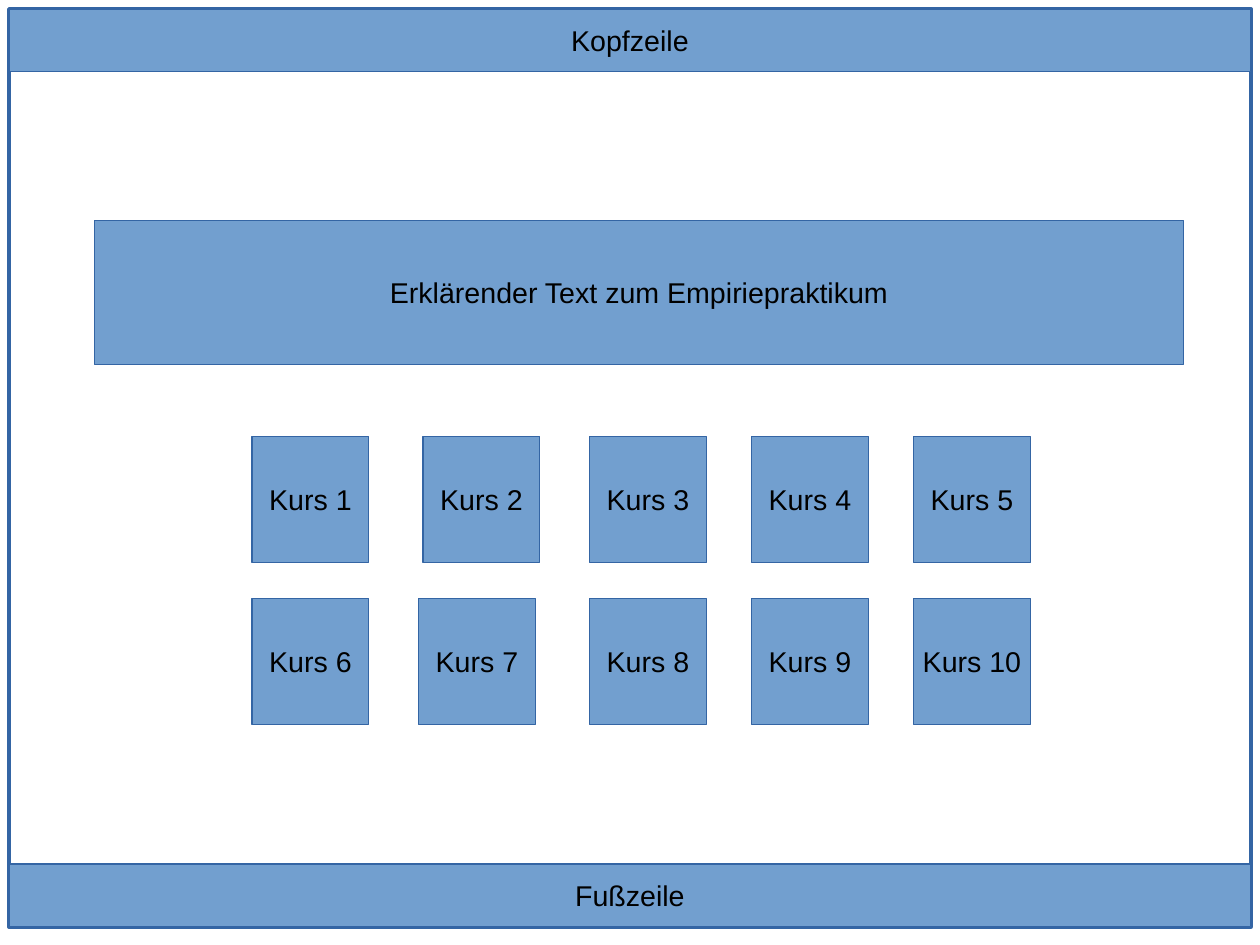
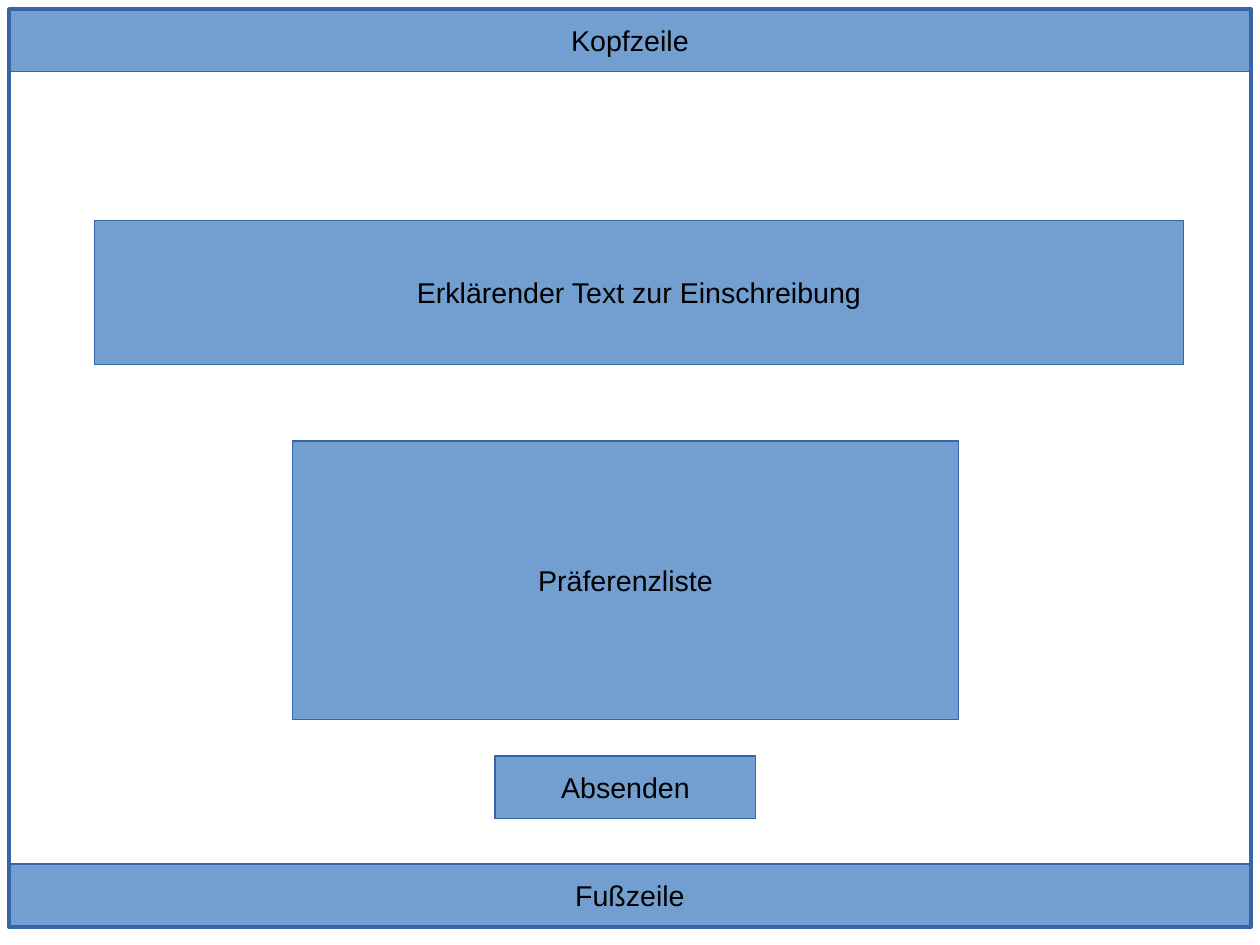
from pptx import Presentation
from pptx.dml.color import RGBColor
from pptx.enum.shapes import MSO_SHAPE as Shape
from pptx.enum.text import MSO_ANCHOR as Anchor, PP_ALIGN as Align
from pptx.util import Cm, Pt

# Content
HEADER, FOOTER = "Kopfzeile", "Fußzeile"
COURSE_INTRO = "Erklärender Text zum Empiriepraktikum"
ENROLMENT_INTRO = "Erklärender Text zur Einschreibung"
PREFERENCES, SUBMIT = "Präferenzliste", "Absenden"
COURSES = [f"Kurs {number}" for number in range(1, 11)]

# Shared style and geometry, in centimetres
COLORS = {"fill": "729FCF", "line": "3465A4", "text": "000000"}
FONT, FONT_SIZE = "Arial", 18
WIDTH, HEIGHT = 28, 21
FRAME = (0.2, 0.2, 27.6, 20.4)
FRAME_LINE, HAIRLINE = 2.3, 0
BAND_HEIGHT = 1.4
INTRO = (2.1, 4.9, 24.2, 3.2)

# Course grid: the second column is offset slightly between the rows
COURSE_SIZE = (2.6, 2.8)
COURSE_TOP, COURSE_PITCH = 9.7, 3.6
COURSE_LEFTS = [
    (5.6, 9.4, 13.1, 16.7, 20.3),
    (5.6, 9.3, 13.1, 16.7, 20.3),
]

# Enrolment form: both parts share one centre line
FORM_CENTER = 13.9
PREFERENCES_TOP, PREFERENCES_SIZE = 9.8, (14.8, 6.2)
SUBMIT_TOP, SUBMIT_SIZE = 16.8, (5.8, BAND_HEIGHT)


def color(name):
    return RGBColor.from_string(COLORS[name])


def add_rectangle(slide, box, line_width):
    shape = slide.shapes.add_shape(Shape.RECTANGLE, *map(Cm, box))
    shape.shadow.inherit = False
    shape.line.color.rgb = color("line")
    shape.line.width = Pt(line_width)
    return shape


def add_frame(slide):
    add_rectangle(slide, FRAME, FRAME_LINE).fill.background()


def add_box(slide, text, box):
    shape = add_rectangle(slide, box, HAIRLINE)
    shape.fill.solid()
    shape.fill.fore_color.rgb = color("fill")
    frame = shape.text_frame
    frame.word_wrap = False
    frame.vertical_anchor = Anchor.MIDDLE
    paragraph = frame.paragraphs[0]
    paragraph.text = text
    paragraph.alignment = Align.CENTER
    paragraph.font.name = FONT
    paragraph.font.size = Pt(FONT_SIZE)
    paragraph.font.color.rgb = color("text")


def add_page_parts(slide, intro):
    left, top, width, height = FRAME
    add_box(slide, HEADER, (left, top, width, BAND_HEIGHT))
    add_box(slide, FOOTER, (left, top + height - BAND_HEIGHT, width, BAND_HEIGHT))
    add_box(slide, intro, INTRO)


def add_centered_box(slide, text, top, size):
    add_box(slide, text, (FORM_CENTER - size[0] / 2, top, *size))


def build_course_slide(slide):
    for index, course in enumerate(COURSES):
        row, column = divmod(index, len(COURSE_LEFTS[0]))
        top = COURSE_TOP + row * COURSE_PITCH
        add_box(slide, course, (COURSE_LEFTS[row][column], top, *COURSE_SIZE))
    add_frame(slide)
    add_page_parts(slide, COURSE_INTRO)


def build_enrolment_slide(slide):
    add_page_parts(slide, ENROLMENT_INTRO)
    add_centered_box(slide, PREFERENCES, PREFERENCES_TOP, PREFERENCES_SIZE)
    add_frame(slide)
    add_centered_box(slide, SUBMIT, SUBMIT_TOP, SUBMIT_SIZE)


def main():
    presentation = Presentation()
    presentation.slide_width = Cm(WIDTH)
    presentation.slide_height = Cm(HEIGHT)
    blank_layout = presentation.slide_layouts[6]
    for build in (build_course_slide, build_enrolment_slide):
        build(presentation.slides.add_slide(blank_layout))
    presentation.save("out.pptx")


if __name__ == "__main__":
    main()
